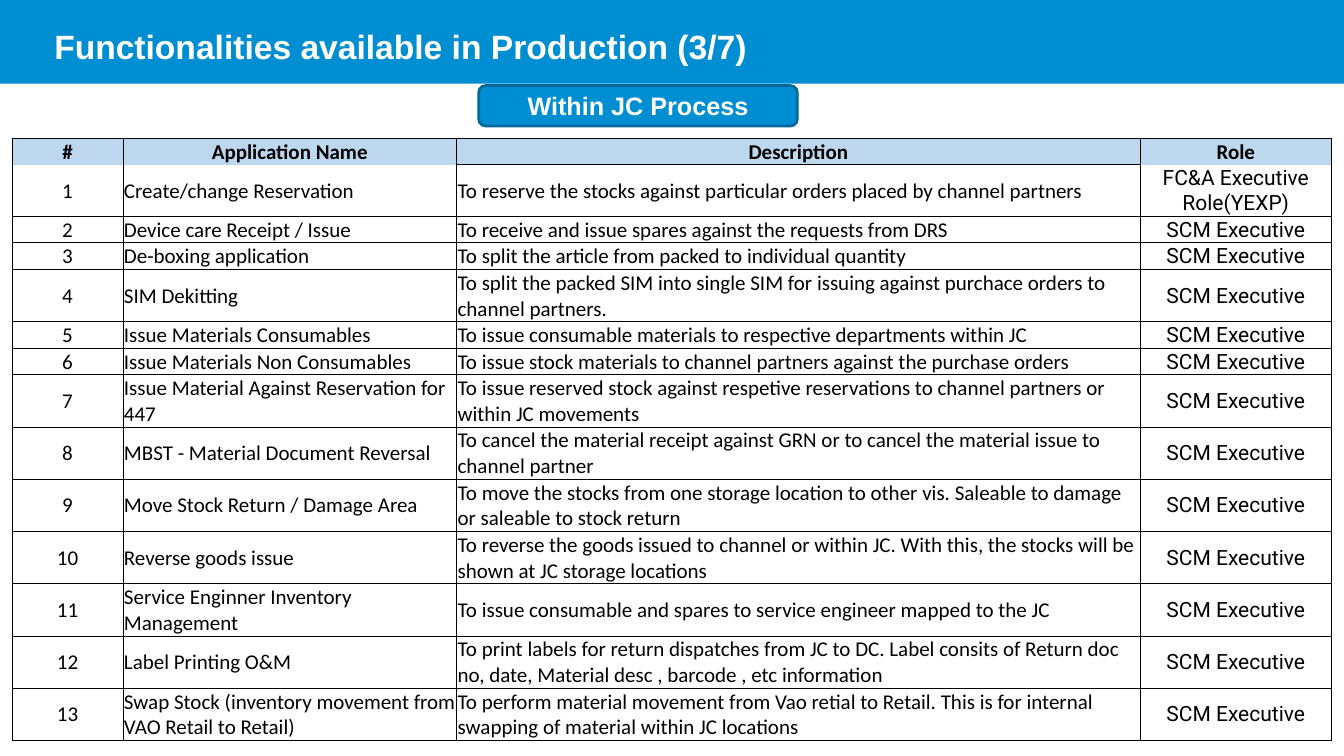
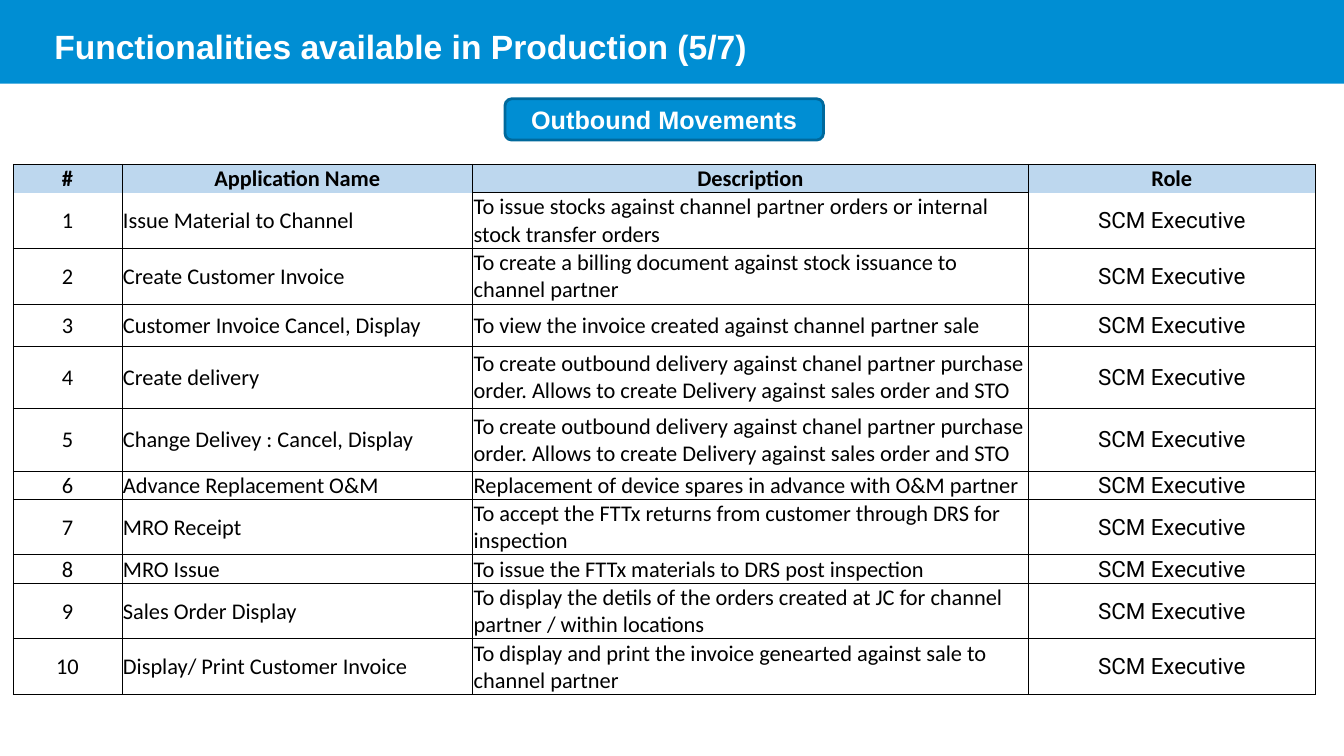
from lxml import etree
from pptx import Presentation
from pptx.dml.color import RGBColor
from pptx.enum.shapes import MSO_SHAPE
from pptx.enum.text import MSO_ANCHOR, PP_ALIGN
from pptx.oxml.ns import qn
from pptx.util import Inches, Pt

RECTANGLE, ROUNDED = MSO_SHAPE.RECTANGLE, MSO_SHAPE.ROUNDED_RECTANGLE
LEFT, CENTER = PP_ALIGN.LEFT, PP_ALIGN.CENTER
TOP, MIDDLE = MSO_ANCHOR.TOP, MSO_ANCHOR.MIDDLE

# Shared look
BLUE, DARK_BLUE, PALE_BLUE = "008ED3", "00699C", "BDD7EE"
WHITE, BLACK = "FFFFFF", "000000"
HEADING_FONT, TABLE_FONT, ROLE_FONT = "Arial", "Calibri", "Roboto"
LINE_SPACING = 1.22

# The page is a grid of square cells; boxes are left, top, width, height in cells
CELL = Inches(0.1)
COLUMNS, ROWS = 133.33, 75
BAND_BOX = (0, 0, COLUMNS, 8.3)
TITLE_BOX = (4.4, 1.8, 117.8, 5.7)
CELL_MARGIN = 0.1

HEADINGS = ("#", "Application Name", "Description", "Role")
DESCRIPTION = HEADINGS.index("Description")
USUAL_ROLE = "SCM Executive"

# Each row: height in text lines, application, description, and a role if unusual
WITHIN_ROWS = [
    (1.9, "Create/change Reservation",
     "To reserve the stocks against particular orders placed by channel partners",
     "FC&A Executive Role(YEXP)"),
    (1, "Device care Receipt / Issue",
     "To receive and issue spares against the requests from DRS"),
    (1, "De-boxing application",
     "To split the article from packed to individual quantity"),
    (2, "SIM Dekitting",
     "To split the packed SIM into single SIM for issuing against purchace orders "
     "to channel partners."),
    (1, "Issue Materials Consumables",
     "To issue consumable materials to respective departments within JC"),
    (1, "Issue Materials Non Consumables",
     "To issue stock materials to channel partners against the purchase orders"),
    (2, "Issue Material Against Reservation for 447",
     "To issue reserved stock against respetive reservations to channel partners "
     "or within JC movements"),
    (2, "MBST - Material Document Reversal",
     "To cancel the material receipt against GRN or to cancel the material issue "
     "to channel partner"),
    (2, "Move Stock Return / Damage Area",
     "To move the stocks from one storage location to other vis. Saleable to damage "
     "or saleable to stock return"),
    (2, "Reverse goods issue",
     "To reverse the goods issued to channel or within JC. With this, the stocks "
     "will be shown at JC storage locations"),
    (2, "Service Enginner Inventory Management",
     "To issue consumable and spares to service engineer mapped to the JC"),
    (2, "Label Printing O&M",
     "To print labels for return dispatches from JC to DC. Label consits of Return "
     "doc no, date, Material desc , barcode , etc information"),
    (2, "Swap Stock (inventory movement from VAO Retail to Retail)",
     "To perform material movement from Vao retial to Retail. This is for internal "
     "swapping of material within JC locations"),
]

DELIVERY_TEXT = ("To create outbound delivery against chanel partner purchase order. "
                 "Allows to create Delivery against sales order and STO")
OUTBOUND_ROWS = [
    (2, "Issue Material to Channel",
     "To issue stocks against channel partner orders or internal stock transfer orders"),
    (2, "Create Customer Invoice",
     "To create a billing document against stock issuance to channel partner"),
    (1.5, "Customer Invoice Cancel, Display",
     "To view the invoice created against channel partner sale"),
    (2.25, "Create delivery", DELIVERY_TEXT),
    (2.25, "Change Delivey : Cancel, Display", DELIVERY_TEXT),
    (1, "Advance Replacement O&M",
     "Replacement of device spares in advance with O&M partner"),
    (2, "MRO Receipt",
     "To accept the FTTx returns from customer through DRS for inspection"),
    (1, "MRO Issue", "To issue the FTTx materials to DRS post inspection"),
    (2, "Sales Order Display",
     "To display the detils of the orders created at JC for channel partner / "
     "within locations"),
    (2, "Display/ Print Customer Invoice",
     "To display and print the invoice genearted against sale to channel partner"),
]

PAGES = [
    dict(title="Functionalities available in Production (3/7)",
         label="Within JC Process", label_box=(47.5, 8.5, 31.6, 4),
         table_box=(1.2, 13.7, 130.9, 58.8), shares=(1.1, 3.31, 6.78, 1.9),
         size=15, rows=WITHIN_ROWS),
    dict(title="Functionalities available in Production (5/7)",
         label="Outbound Movements", label_box=(50.1, 9.8, 31.6, 4.1),
         table_box=(1.3, 16.3, 129.2, 52.2), shares=(1.08, 3.48, 5.51, 2.85),
         size=16, rows=OUTBOUND_ROWS),
]


def color(hex_text):
    return RGBColor.from_string(hex_text)


def cells(*counts):
    return [round(count * CELL) for count in counts]


def write(frame, text, *, size, font=HEADING_FONT, ink=WHITE, bold=True,
          align=CENTER, anchor=MIDDLE):
    frame.word_wrap = True
    frame.vertical_anchor = anchor
    para = frame.paragraphs[0]
    para.alignment = align
    span = para.add_run()
    span.text = text
    span.font.name = font
    span.font.size = Pt(size)
    span.font.bold = bold
    span.font.color.rgb = color(ink)


def add_block(page, kind, box, line=None):
    block = page.shapes.add_shape(kind, *cells(*box))
    block.shadow.inherit = False
    block.fill.solid()
    block.fill.fore_color.rgb = color(BLUE)
    if line:
        block.line.color.rgb = color(line)
        block.line.width = Pt(2)
    else:
        block.line.fill.background()
    return block


def add_header(page, title):
    add_block(page, RECTANGLE, BAND_BOX)
    box = page.shapes.add_textbox(*cells(*TITLE_BOX))
    write(box.text_frame, title, size=24, align=LEFT, anchor=TOP)
    box.text_frame.margin_top = cells(0.8)[0]


def add_label(page, text, box):
    label = add_block(page, ROUNDED, box, line=DARK_BLUE)
    write(label.text_frame, text, size=18)


def set_borders(cell, hidden_side):
    properties = cell._tc.get_or_add_tcPr()
    for side in "LRTB":
        line = etree.SubElement(properties, qn(f"a:ln{side}"), w=str(Pt(0.5)))
        if side == hidden_side:
            etree.SubElement(line, qn("a:noFill"))
        else:
            fill = etree.SubElement(line, qn("a:solidFill"))
            etree.SubElement(fill, qn("a:srgbClr"), val=BLACK)


def format_cell(cell, text, row, column, size):
    heading = row == 0
    # The rule under the headings shows in the description column only
    hidden_side = {0: "B", 1: "T"}.get(row) if column != DESCRIPTION else None
    set_borders(cell, hidden_side)
    if heading:
        cell.fill.solid()
        cell.fill.fore_color.rgb = color(PALE_BLUE)
    else:
        cell.fill.background()
    cell.margin_left = cell.margin_top = cell.margin_right = cells(CELL_MARGIN)[0]
    cell.margin_bottom = 0
    cell.vertical_anchor = MIDDLE
    is_role = column == len(HEADINGS) - 1
    write(cell.text_frame, text, size=size, ink=BLACK, bold=heading,
          font=ROLE_FONT if is_role and not heading else TABLE_FONT,
          align=CENTER if heading or is_role or column == 0 else LEFT)


def add_function_table(page, box, shares, size, rows):
    frame = page.shapes.add_table(len(rows) + 1, len(HEADINGS), *cells(*box))
    table = frame.table
    table.first_row = table.horz_banding = False

    # Column widths share out the box; row heights follow the text lines
    for column, share in zip(table.columns, shares):
        column.width = round(cells(box[2])[0] * share / sum(shares))
    line_counts = [1] + [row[0] for row in rows]
    for row, lines in zip(table.rows, line_counts):
        row.height = Pt(lines * size * LINE_SPACING) + cells(CELL_MARGIN)[0]

    # Headings, then numbered rows
    contents = [HEADINGS]
    for number, (_, name, description, *role) in enumerate(rows, 1):
        contents.append((str(number), name, description, *(role or [USUAL_ROLE])))
    for r, texts in enumerate(contents):
        for c, text in enumerate(texts):
            format_cell(table.cell(r, c), text, r, c, size)


def add_function_page(deck, title, label, label_box, table_box, shares, size, rows):
    page = deck.slides.add_slide(deck.slide_layouts[6])
    add_header(page, title)
    add_label(page, label, label_box)
    add_function_table(page, table_box, shares, size, rows)


def main():
    deck = Presentation()
    deck.slide_width, deck.slide_height = cells(COLUMNS, ROWS)
    for content in PAGES:
        add_function_page(deck, **content)
    deck.save("out.pptx")


if __name__ == "__main__":
    main()
